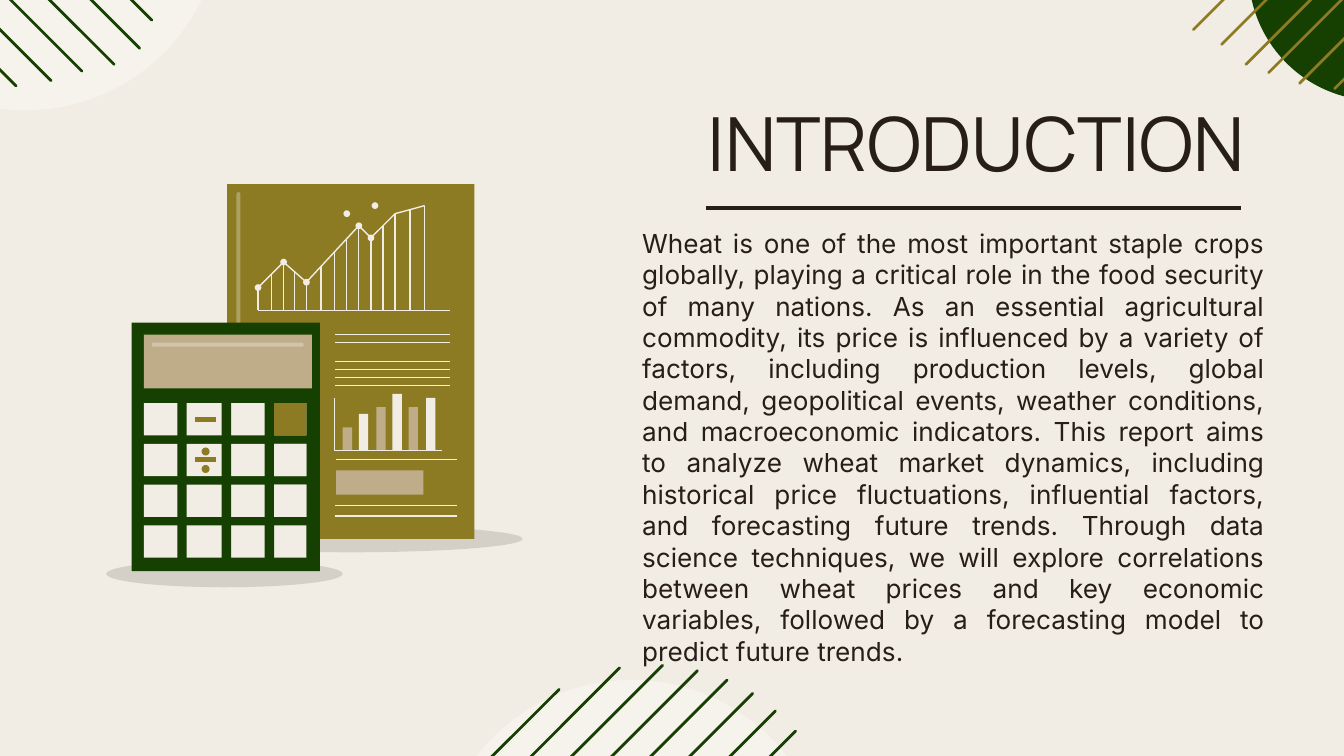
from itertools import pairwise
from typing import NamedTuple

from lxml.etree import SubElement
from pptx import Presentation
from pptx.dml.color import RGBColor
from pptx.enum.shapes import MSO_CONNECTOR, MSO_SHAPE
from pptx.enum.text import MSO_ANCHOR, PP_ALIGN
from pptx.oxml.ns import qn
from pptx.util import Inches, Pt

CREAM = RGBColor(0xF2, 0xED, 0xE4)
GREEN = RGBColor(0x15, 0x40, 0x01)
GOLD = RGBColor(0x8C, 0x7B, 0x23)
TAN = RGBColor(0xBF, 0xAD, 0x8A)
INK = RGBColor(0x26, 0x1E, 0x17)
WHITE = RGBColor(0xFF, 0xFF, 0xFF)
BLACK = RGBColor(0x00, 0x00, 0x00)
RECT, OVAL, ROUND = MSO_SHAPE.RECTANGLE, MSO_SHAPE.OVAL, MSO_SHAPE.ROUNDED_RECTANGLE

BODY = (
    "Wheat is one of the most important staple crops globally, playing a critical role "
    "in the food security of many nations. As an essential agricultural commodity, its "
    "price is influenced by a variety of factors, including production levels, global "
    "demand, geopolitical events, weather conditions, and macroeconomic indicators. This "
    "report aims to analyze wheat market dynamics, including historical price "
    "fluctuations, influential factors, and forecasting future trends. Through data "
    "science techniques, we will explore correlations between wheat prices and key "
    "economic variables, followed by a forecasting model to predict future trends."
)


class Spot(NamedTuple):
    x: float
    y: float


class Box(NamedTuple):
    x: float
    y: float
    w: float
    h: float


class Fan(NamedTuple):
    """Diagonal stripes: inner ends, their runs, and the way they leave."""
    tips: list[tuple[float, float]]
    runs: list[float]
    dx: int
    dy: int
    color: RGBColor


class Bar(NamedTuple):
    x: float
    h: float
    color: RGBColor


# Wide 16:9 slide
deck = Presentation()
deck.slide_width = Inches(10)
deck.slide_height = deck.slide_width * 9 // 16
slide = deck.slides.add_slide(deck.slide_layouts[5])
slide.background.fill.solid()
slide.background.fill.fore_color.rgb = CREAM


def block(kind: MSO_SHAPE, box: Box, color: RGBColor, alpha: int = 100):
    item = slide.shapes.add_shape(kind, *map(Inches, box))
    item.shadow.inherit = False
    item.line.fill.background()
    item.fill.solid()
    item.fill.fore_color.rgb = color
    if alpha < 100:
        tint = item.fill._xPr.find(".//" + qn("a:srgbClr"))
        SubElement(tint, qn("a:alpha"), val=str(alpha * 1000))
    return item


def dot(at: Spot, size: float, color: RGBColor) -> None:
    block(OVAL, Box(at.x - size / 2, at.y - size / 2, size, size), color)


def stroke(a: Spot, b: Spot, color: RGBColor = CREAM, width: float = 0.75,
           cap: str = "flat") -> None:
    ends = map(Inches, (*a, *b))
    item = slide.shapes.add_connector(MSO_CONNECTOR.STRAIGHT, *ends)
    item.line.color.rgb = color
    item.line.width = Pt(width)
    item.line._get_or_add_ln().set("cap", cap)
    SubElement(item._element.spPr, qn("a:effectLst"))


def trace(spots: list[Spot]) -> None:
    first, *rest = [(Inches(s.x), Inches(s.y)) for s in spots]
    pen = slide.shapes.build_freeform(*first)
    pen.add_line_segments(rest, close=False)
    item = pen.convert_to_shape()
    item.shadow.inherit = False
    item.fill.background()
    item.line.color.rgb = CREAM
    item.line.width = Pt(0.75)


def spread(fan: Fan) -> None:
    for (x, y), run in zip(fan.tips, fan.runs):
        stroke(Spot(x, y), Spot(x + fan.dx * run, y + fan.dy * run),
               fan.color, 1.5, "rnd")


def height(x: float, spots: list[Spot]) -> float:
    for a, b in pairwise(spots):
        if a.x <= x <= b.x:
            return a.y + (b.y - a.y) * (x - a.x) / (b.x - a.x)
    raise ValueError(x)


def write(item, text: str, font: str, size: int, align: PP_ALIGN,
          anchor: MSO_ANCHOR) -> None:
    frame = item.text_frame
    frame.word_wrap = True
    frame.vertical_anchor = anchor
    frame.margin_left = frame.margin_right = Inches(0.1)
    frame.margin_top = frame.margin_bottom = Inches(0.1)
    line = frame.paragraphs[0]
    line.text, line.alignment = text, align
    line.font.name, line.font.size = font, Pt(size)
    line.font.color.rgb = INK


# Corner and bottom ornaments
RUNS = [2, 2.06, 2, 1.86, 1.71, 1.49, 1.16, 0.54]
block(OVAL, Box(9.29, -1.17, 1.92, 1.92), GREEN)
spread(Fan([(8.88, 0.22), (9.09, 0.33), (9.27, 0.48), (9.44, 0.54), (9.67, 0.62),
            (9.93, 0.66)], [2.04, 1.99, 1.95, *RUNS[3:6]], 1, -1, GOLD))
block(OVAL, Box(-1.26, -2.06, 2.9, 2.88), WHITE, 36)
spread(Fan([(1.13, 0.15), (1.04, 0.36), (0.85, 0.48), (0.61, 0.53), (0.38, 0.6),
            (0.12, 0.64)], RUNS[:6], -1, -1, GREEN))
block(OVAL, Box(3.25, 5.06, 2.9, 2.88), WHITE, 36)
spread(Fan([(5.92, 5.44), (5.77, 5.29), (5.6, 5.16), (5.41, 5.06), (5.19, 4.99),
            (4.93, 4.95), (4.61, 4.97), (4.16, 5.13)], RUNS, -1, 1, GREEN))

# Title, body and rule
title = slide.shapes.title
title.left, title.top, title.width, title.height = map(Inches, (4.82, 0.62, 4.54, 0.88))
write(title, "INTRODUCTION", "Manrope", 40, PP_ALIGN.RIGHT, MSO_ANCHOR.TOP)
body = slide.shapes.add_textbox(*map(Inches, (4.68, 1.59, 4.83, 1.55)))
write(body, BODY, "Inter", 14, PP_ALIGN.JUSTIFY, MSO_ANCHOR.TOP)
stroke(Spot(5.25, 1.55), Spot(9.23, 1.55), INK, 2.25)

# Report sheet with its shadows
block(OVAL, Box(1.33, 3.91, 2.56, 0.2), BLACK, 12)
block(RECT, Box(1.69, 1.37, 1.84, 2.64), GOLD)
block(ROUND, Box(1.76, 1.43, 0.03, 1.13), WHITE, 29).adjustments[0] = 0.5
block(OVAL, Box(0.79, 4.17, 1.76, 0.2), BLACK, 12)

# Trend line with drop lines and dots
BASE = 2.31
trend = [Spot(1.92, 2.14), Spot(2.11, 1.95), Spot(2.28, 2.1), Spot(2.67, 1.68),
         Spot(2.76, 1.77), Spot(2.94, 1.59), Spot(3.16, 1.53)]
stroke(Spot(1.92, BASE), Spot(3.35, BASE))
trace(trend)
for x in (1.92, 2.02, 2.11, 2.19, 2.28, 2.39, 2.49, 2.58, 2.67, 2.76, 2.85, 2.94,
          3.05, 3.16):
    stroke(Spot(x, height(x, trend)), Spot(x, BASE))
for spot in [*trend[:5], Spot(2.58, 1.59), Spot(2.79, 1.53)]:
    dot(spot, 0.05, CREAM)

# Text lines on the sheet
for y in (2.49, 2.55, 2.69, 2.75, 2.81, 2.87):
    stroke(Spot(2.49, y), Spot(3.35, y))
for x, y in ((2.5, 3.42), (2.49, 3.76), (2.49, 3.84)):
    stroke(Spot(x, y), Spot(3.4, y))
block(RECT, Box(2.5, 3.5, 0.65, 0.18), TAN)

# Small bars and their axes
FOOT = 3.35
for bar in (Bar(2.55, 0.17, TAN), Bar(2.67, 0.27, CREAM), Bar(2.8, 0.32, TAN),
            Bar(2.92, 0.42, CREAM), Bar(3.04, 0.32, TAN), Bar(3.17, 0.39, CREAM)):
    block(RECT, Box(bar.x, FOOT - bar.h, 0.07, bar.h), bar.color)
trace([Spot(2.49, 2.96), Spot(2.49, FOOT), Spot(3.29, FOOT)])

# Calculator: case, screen, key rows split by gaps
block(RECT, Box(0.98, 2.4, 1.4, 1.85), GREEN)
block(RECT, Box(1.07, 2.49, 1.25, 0.4), TAN)
block(ROUND, Box(1.13, 2.55, 1.13, 0.03), WHITE, 29).adjustments[0] = 0.5
rows = [3 + 0.91 * n / 3 for n in range(4)]
for y in rows:
    block(RECT, Box(1.07, y, 1.21, 0.24), CREAM)
for x in (1.32, 1.65, 1.97):
    block(RECT, Box(x, 2.96, 0.07, 1.24), GREEN)
for y, color in zip(rows, (GOLD, CREAM, CREAM)):
    block(RECT, Box(2.04, y, 0.24, 0.24), color)

# Minus and divide signs
for y in (3.12, 3.42):
    stroke(Spot(1.45, y), Spot(1.61, y), GOLD, 2.85)
for y in (3.36, 3.49):
    dot(Spot(1.53, y), 0.06, GOLD)

deck.save("out.pptx")
